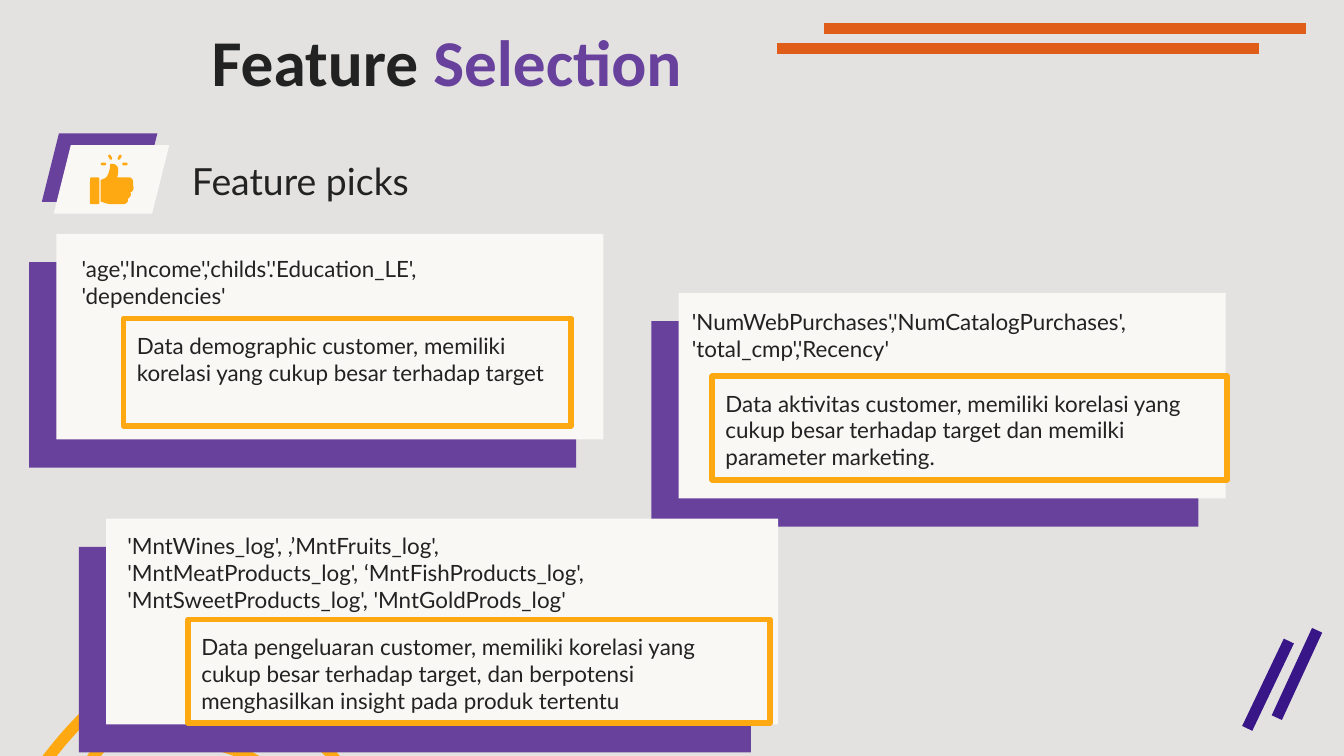
"""Build the Feature Selection slide."""
import pptx
import pptx.util
import pptx.dml.color
import pptx.enum.shapes
import pptx.enum.text
import pptx.oxml
import pptx.oxml.ns

Inches = pptx.util.Inches
Pt = pptx.util.Pt
SHAPES = pptx.enum.shapes.MSO_SHAPE

COLORS = {
    "background": "E3E2E1", "card": "FAF8F5", "purple": "68419D", "ink": "222222",
    "amber": "FEA911", "orange": "DF5D19", "indigo": "391688",
}

TITLE = [("Feature ", "ink"), ("Selection", "purple")]
HEADING = "Feature picks"

CARDS = [
    {"card": (5.05, 2.18, 4.07, 1.53), "names_box": (5.05, 2.19, 4, 0.92),
     "names": ["'NumWebPurchases','NumCatalogPurchases',", "'total_cmp','Recency'"],
     "reason_box": (5.3, 2.8, 3.83, 0.77),
     "reason": "Data aktivitas customer, memiliki korelasi yang cukup besar terhadap target "
               "dan memilki parameter marketing."},
    {"card": (0.42, 1.74, 4.07, 1.53), "names_box": (0.51, 1.8, 3.33, 0.56),
     "names": ["'age','Income','childs'.'Education_LE',", "'dependencies'"],
     "reason_box": (0.92, 2.37, 3.33, 0.8),
     "reason": "Data demographic customer, memiliki korelasi yang cukup besar terhadap target"},
    {"card": (0.79, 3.86, 5, 1.53), "names_box": (0.85, 3.86, 4.07, 0.92),
     "names": ["'MntWines_log', ,’MntFruits_log',",
               "'MntMeatProducts_log', ‘MntFishProducts_log', "
               "'MntSweetProducts_log', 'MntGoldProds_log'"],
     "reason_box": (1.4, 4.61, 4.33, 0.77),
     "reason": "Data pengeluaran customer, memiliki korelasi yang cukup besar terhadap target, "
               "dan berpotensi menghasilkan insight pada produk tertentu"},
]

STRIPES = [
    (6.13, 0.21, 9.72, 0.21, "orange"), (5.78, 0.36, 9.37, 0.36, "orange"),
    (9.59, 4.77, 9.28, 5.42, "indigo"), (9.8, 4.69, 9.5, 5.34, "indigo"),
]

ARCS = [
    (4, [(0.66, 5.75), (0.81, 5.41, 1.06, 5.48, 1.26, 5.49),
         (1.53, 5.51, 1.81, 5.52, 2.06, 5.72)]),
    (0, [(0.32, 5.69), (0.41, 5.57, 0.51, 5.45, 0.62, 5.34),
         (0.77, 5.19, 1.04, 5.28, 1.25, 5.25), (1.69, 5.18, 2.26, 5.32, 2.52, 5.68)]),
]

HAND = [
    (0.83, 1.22), (0.82, 1.22, 0.82, 1.22, 0.82, 1.23), (0.82, 1.25, 0.81, 1.3, 0.79, 1.32),
    (0.78, 1.33, 0.77, 1.33, 0.75, 1.34), (0.75, 1.5), (0.78, 1.51, 0.8, 1.52, 0.84, 1.52),
    (0.91, 1.52), (0.94, 1.52, 0.96, 1.5, 0.95, 1.48), (0.97, 1.47, 0.98, 1.45, 0.97, 1.43),
    (0.99, 1.43, 1, 1.4, 0.99, 1.38), (0.99, 1.37, 0.99, 1.36, 0.99, 1.35),
    (0.99, 1.34, 0.98, 1.32, 0.96, 1.32), (0.87, 1.32),
    (0.88, 1.31, 0.88, 1.27, 0.88, 1.26), (0.88, 1.24, 0.86, 1.22, 0.84, 1.22),
]
CUFF = (0.67, 1.32, 0.07, 0.2)
SPARKS = [(0.75, 1.21, 0), (0.8, 1.16, 60), (0.87, 1.16, 120), (0.91, 1.21, 0)]


def rgb(name):
    return pptx.dml.color.RGBColor.from_string(COLORS[name])


def paint(shape, color):
    shape.shadow.inherit = False
    shape.fill.solid()
    shape.fill.fore_color.rgb = rgb(color)
    shape.line.fill.background()


def add_block(slide, kind, box, color):
    shape = slide.shapes.add_shape(kind, *map(Inches, box))
    paint(shape, color)
    return shape


def cast_shadow(shape, distance, angle):
    effects = shape._element.spPr.find(pptx.oxml.ns.qn("a:effectLst"))
    effects.append(pptx.oxml.parse_xml(
        f'<a:outerShdw {pptx.oxml.ns.nsdecls("a")} blurRad="0" dist="{Pt(distance)}" '
        f'dir="{angle * 60000}" algn="bl" rotWithShape="0">'
        f'<a:srgbClr val="{COLORS["purple"]}"/></a:outerShdw>'))


def add_stripe(slide, x1, y1, x2, y2, color):
    stripe = slide.shapes.add_connector(
        pptx.enum.shapes.MSO_CONNECTOR.STRAIGHT, *map(Inches, (x1, y1, x2, y2)))
    stripe.line.color.rgb = rgb(color)
    stripe.line.width = Pt(6)
    stripe._element.spPr.append(
        pptx.oxml.parse_xml(f'<a:effectLst {pptx.oxml.ns.nsdecls("a")}/>'))


def trace(outline, steps=12):
    points = [outline[0]]
    for segment in outline[1:]:
        if len(segment) == 2:
            points.append(segment)
            continue
        controls = list(zip(points[-1:] + [segment[:2], segment[2:4], segment[4:]], (1, 3, 3, 1)))
        for step in range(1, steps + 1):
            t = step / steps
            weights = [n * t ** i * (1 - t) ** (3 - i) for i, (_, n) in enumerate(controls)]
            points.append(tuple(
                sum(w * point[axis] for w, (point, _) in zip(weights, controls))
                for axis in (0, 1)))
    return [(Inches(x), Inches(y)) for x, y in points]


def add_outline(slide, outline, close):
    points = trace(outline)
    builder = slide.shapes.build_freeform(*points[0])
    builder.add_line_segments(points[1:], close=close)
    return builder.convert_to_shape()


def add_text(slide, box, paragraphs, size, font="Lato"):
    shape = slide.shapes.add_textbox(*map(Inches, box))
    frame = shape.text_frame
    frame.word_wrap = True
    frame.margin_left = frame.margin_right = Inches(0.1)
    frame.margin_top = frame.margin_bottom = Inches(0.1)
    for index, pieces in enumerate(paragraphs):
        paragraph = frame.add_paragraph() if index else frame.paragraphs[0]
        for text, color in pieces:
            run = paragraph.add_run()
            run.text = text
            run.font.name = font
            run.font.size = Pt(size)
            run.font.color.rgb = rgb(color)
    return shape


def add_icon(slide):
    badge = add_block(slide, SHAPES.PARALLELOGRAM, (0.4, 1.08, 0.86, 0.51), "card")
    badge.adjustments[0] = 0.25
    cast_shadow(badge, 9, 225)
    for left, top, angle in SPARKS:
        spark = add_block(slide, SHAPES.ROUNDED_RECTANGLE, (left, top, 0.04, 0.02), "amber")
        spark.adjustments[0] = 0.5
        spark.rotation = angle
    add_block(slide, SHAPES.ROUNDED_RECTANGLE, CUFF, "amber")
    paint(add_outline(slide, HAND, True), "amber")


def add_card(slide, card):
    panel = add_block(slide, SHAPES.RECTANGLE, card["card"], "card")
    cast_shadow(panel, 21, 134)
    add_text(slide, card["names_box"], [[(line, "ink")] for line in card["names"]], 12)
    reason = add_text(slide, card["reason_box"], [[(card["reason"], "ink")]], 12)
    reason.line.color.rgb = rgb("amber")
    reason.line.width = Pt(3)


def main():
    presentation = pptx.Presentation()
    presentation.slide_width = Inches(10)
    presentation.slide_height = presentation.slide_width * 9 // 16
    slide = presentation.slides.add_slide(presentation.slide_layouts[6])
    slide.background.fill.solid()
    slide.background.fill.fore_color.rgb = rgb("background")

    for angle, outline in ARCS:
        arc = add_outline(slide, outline, False)
        arc.shadow.inherit = False
        arc.fill.background()
        arc.line.color.rgb = rgb("amber")
        arc.line.width = Pt(6)
        arc.rotation = angle
    for stripe in STRIPES:
        add_stripe(slide, *stripe)

    title = add_text(slide, (-0.89, 0.06, 8.43, 0.63), [TITLE], 35, "Calibri")
    paragraph = title.text_frame.paragraphs[0]
    paragraph.alignment = pptx.enum.text.PP_ALIGN.CENTER
    for run in paragraph.runs:
        run.font.bold = True

    add_icon(slide)
    add_text(slide, (1.33, 1.08, 2.25, 0.56), [[(HEADING, "ink")]], 20)
    for card in CARDS:
        add_card(slide, card)
    presentation.save("out.pptx")


if __name__ == "__main__":
    main()
